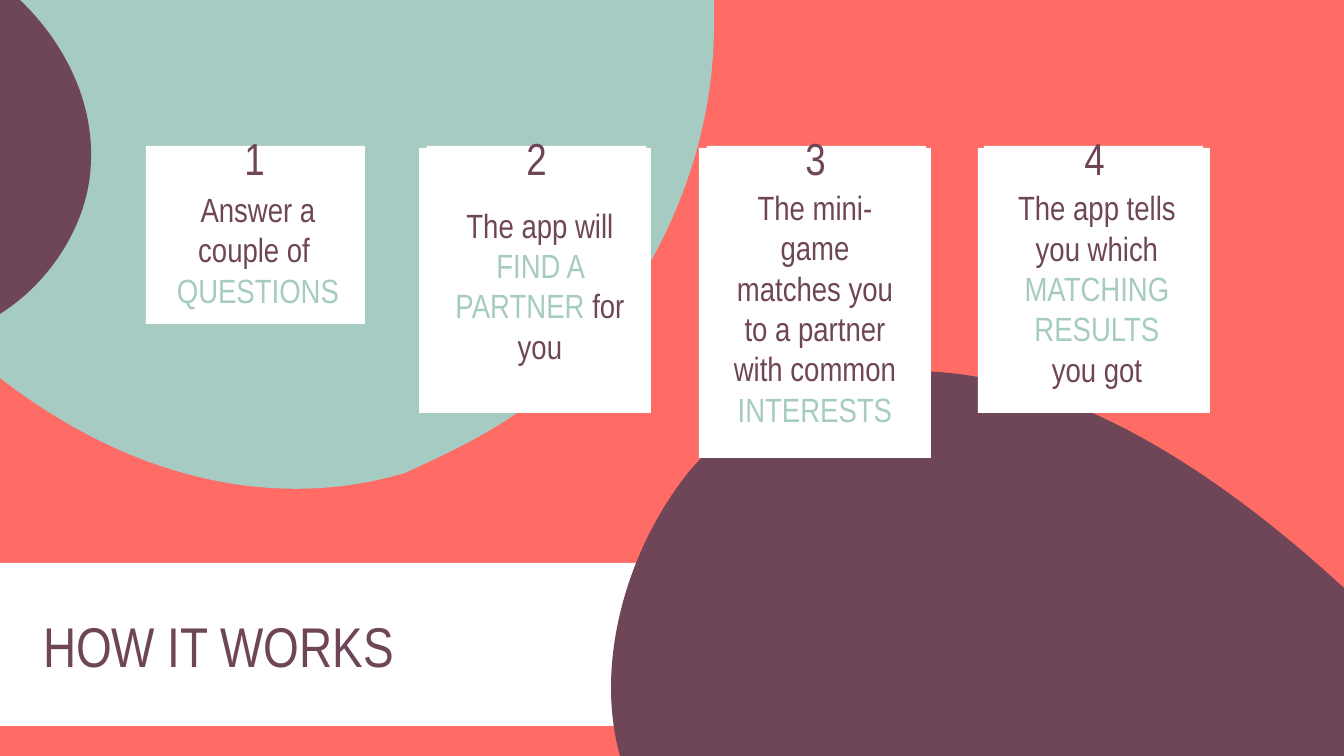
from itertools import chain

from pptx import Presentation
from pptx.dml.color import RGBColor
from pptx.enum.shapes import MSO_SHAPE
from pptx.enum.text import MSO_ANCHOR, MSO_AUTO_SIZE, PP_ALIGN
from pptx.oxml.ns import qn
from pptx.util import Emu, Pt

SCALE = 9144000 / 1344
COLORS = {"coral": "FF6B65", "mint": "A6CBC2", "plum": "6F4657", "white": "FFFFFF"}
FONT = "Arial Narrow"

BACKDROP = ((1344, 756), [[(0, 756)], [(0, 0)], [(1344, 0)]])
MINT_BLOB = ((714, 26), [
    [(714, 155), (656, 289), (559, 378)],
    [(516, 421), (464, 446), (405, 473)],
    [(292, 507), (146, 491), (0, 378)],
    [(0, 0)],
    [(17, 0)],
    [(714, 0)],
    [(714, 8), (714, 17), (714, 26)],
])
PLUM_BLOB = ((1344, 756), [
    [(620, 756)],
    [(614, 734), (611, 711), (611, 688)],
    [(611, 612), (641, 532), (688, 473)],
    [(731, 421), (782, 395), (843, 378)],
    [(972, 352), (1134, 395), (1344, 588)],
])
CORNER_BLOB = ((0, 314), [
    [(0, 0)],
    [(20, 0)],
    [(65, 43), (94, 102), (91, 163)],
    [(89, 223), (51, 282), (0, 314)],
])

STEPS = [
    {"base": 146, "card": None, "number": 138, "body": (159, 241),
     "text": [[("Answer a couple of ", "plum")], [("QUESTIONS", "mint")]]},
    {"base": 427, "card": (419, 265), "number": 420, "body": (441, 297),
     "text": [[("The app will ", "plum"), ("FIND A PARTNER ", "mint"), ("for you", "plum")]]},
    {"base": 707, "card": (699, 310), "number": 699, "body": (716, 360),
     "text": [[("The mini-game matches you to a partner with common ", "plum"),
               ("INTERESTS", "mint")]]},
    {"base": 984, "card": (978, 265), "number": 978, "body": (998, 320),
     "text": [[("The app tells you which ", "plum"), ("MATCHING RESULTS", "mint"),
               (" you got", "plum")]]},
]


def px(length):
    return Emu(round(length * SCALE))


def rgb(color):
    return RGBColor.from_string(COLORS[color])


def set_values(target, values):
    for name, value in values.items():
        setattr(target, name, value)


def paint(shape, color):
    shape.shadow.inherit = False
    shape.fill.solid()
    shape.fill.fore_color.rgb = rgb(color)
    shape.line.fill.background()


def add_rectangle(page, bounds, color):
    paint(page.shapes.add_shape(MSO_SHAPE.RECTANGLE, *map(px, bounds)), color)


def add_outline(page, outline, color):
    start, segments = outline
    builder = page.shapes.build_freeform(*map(px, start))
    builder.add_line_segments([(px(x), px(y)) for x, y in chain(*segments)], close=True)
    shape = builder.convert_to_shape()
    lines = iter(list(shape._element.iter(qn("a:lnTo"))))
    for segment in segments:
        first, *others = [next(lines) for _ in segment]
        if others:
            first.tag = qn("a:cubicBezTo")
        for other in others:
            first.append(other[0])
            other.getparent().remove(other)
    paint(shape, color)


def write_text(box, paragraphs, size, anchor, alignment):
    frame = box.text_frame
    set_values(frame, {
        "word_wrap": True, "auto_size": MSO_AUTO_SIZE.NONE, "vertical_anchor": anchor,
        "margin_left": px(13), "margin_right": px(13),
        "margin_top": px(13), "margin_bottom": px(13),
    })
    for index, spans in enumerate(paragraphs):
        para = frame.add_paragraph() if index else frame.paragraphs[0]
        para.alignment = alignment
        for text, color in spans:
            span = para.add_run()
            span.text = text
            set_values(span.font, {"name": FONT, "size": Pt(size)})
            span.font.color.rgb = rgb(color)


def add_text(page, bounds, paragraphs, size):
    box = page.shapes.add_textbox(*map(px, bounds))
    write_text(box, paragraphs, size, MSO_ANCHOR.BOTTOM, PP_ALIGN.CENTER)


def add_step(page, number, step):
    if step["card"]:
        left, height = step["card"]
        add_rectangle(page, (left, 148, 232, height), "white")
    add_text(page, (*step["body"], 198, 82), step["text"], 18)
    add_text(page, (step["number"], 71, 233, 126), [[(str(number), "plum")]], 24)


def place_title(page, text):
    title = page.shapes.title
    page.shapes._spTree.append(title._element)
    set_values(title, {"left": px(30), "top": px(576), "width": px(554), "height": px(138)})
    write_text(title, [[(text, "plum")]], 30, MSO_ANCHOR.MIDDLE, PP_ALIGN.LEFT)


def main():
    deck = Presentation()
    set_values(deck, {"slide_width": px(1344), "slide_height": px(756)})
    page = deck.slides.add_slide(deck.slide_layouts[5])
    add_outline(page, BACKDROP, "coral")
    add_outline(page, MINT_BLOB, "mint")
    add_rectangle(page, (-3, 563, 1247, 163), "white")
    add_outline(page, PLUM_BLOB, "plum")
    for step in STEPS:
        add_rectangle(page, (step["base"], 146, 219, 178), "white")
    add_outline(page, CORNER_BLOB, "plum")
    for number, step in enumerate(STEPS, 1):
        add_step(page, number, step)
    place_title(page, "HOW IT WORKS")
    deck.save("out.pptx")


if __name__ == "__main__":
    main()
